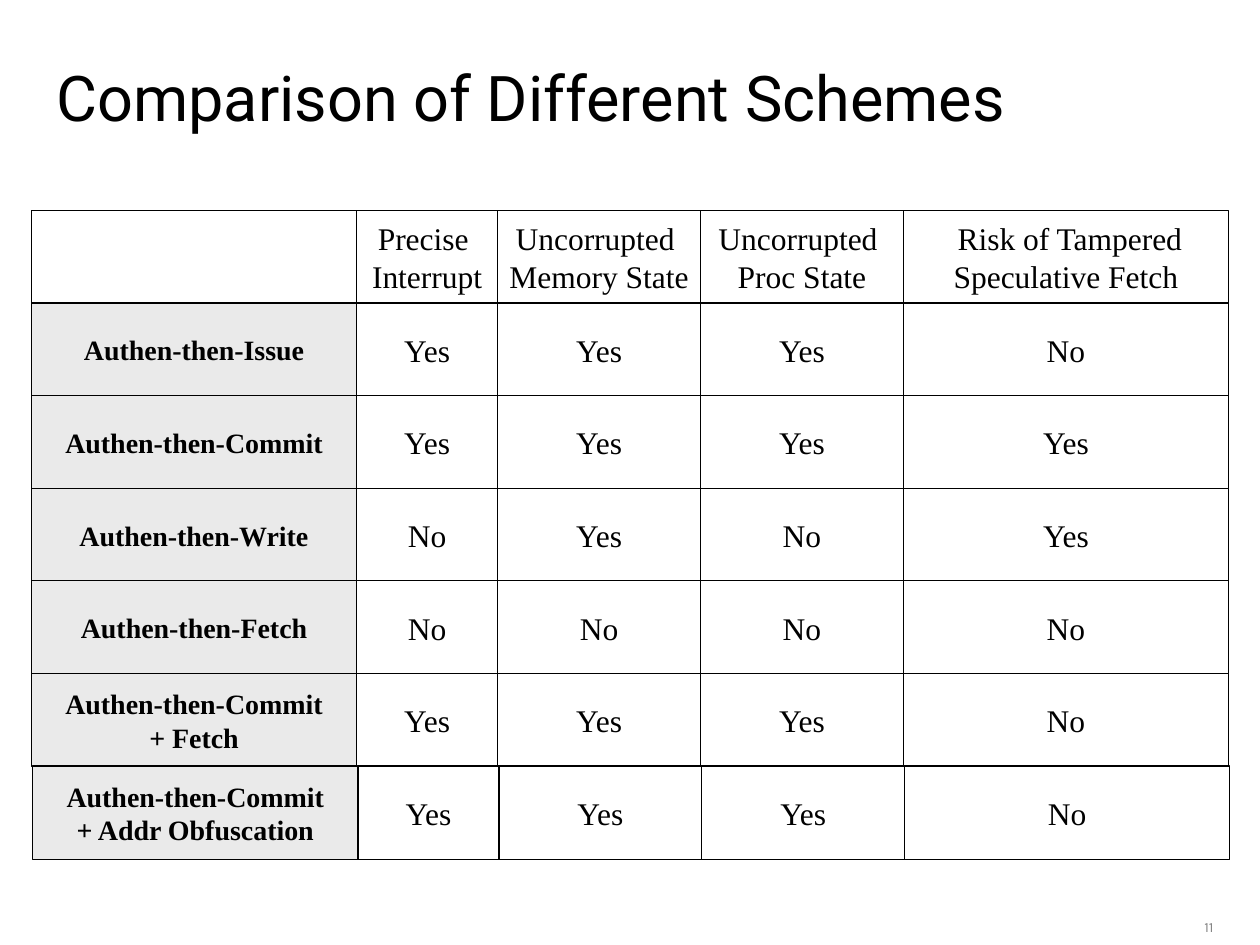
"""Build the slide that compares authentication schemes."""
from pptx import Presentation
from pptx import util as u
from pptx.dml.color import RGBColor
from pptx.enum import shapes, text


def tint(code):
    return RGBColor.from_string(code)


def write(frame, lines, face, size, color, align, bold=False):
    for i, line in enumerate(lines):
        para = frame.paragraphs[0] if i == 0 else frame.add_paragraph()
        para.alignment = align
        run = para.add_run()
        run.text = line
        run.font.name = face
        run.font.size = u.Pt(size)
        run.font.bold = bold
        run.font.color.rgb = tint(color)


deck = Presentation()
deck.slide_width, deck.slide_height = u.Inches(10), u.Inches(7.5)
slide = deck.slides.add_slide(deck.slide_layouts[6])

title = slide.shapes.add_textbox(
    u.Inches(0.35), u.Inches(0.35), u.Inches(9), u.Inches(0.83)).text_frame
title.word_wrap = True
title.vertical_anchor = text.MSO_ANCHOR.MIDDLE
write(title, ["Comparison of Different Schemes"], "Roboto", 36, "000000",
      text.PP_ALIGN.LEFT)

rows = [
    ["", "Precise \nInterrupt", "Uncorrupted \nMemory State",
     "Uncorrupted \nProc State", " Risk of Tampered\nSpeculative Fetch"],
    ["Authen-then-Issue", "Yes", "Yes", "Yes", "No"],
    ["Authen-then-Commit", "Yes", "Yes", "Yes", "Yes"],
    ["Authen-then-Write", "No", "Yes", "No", "Yes"],
    ["Authen-then-Fetch", "No", "No", "No", "No"],
    ["Authen-then-Commit\n+ Fetch", "Yes", "Yes", "Yes", "No"],
    ["Authen-then-Commit\n+ Addr Obfuscation", "Yes", "Yes", "Yes", "No"],
]
widths = [2.58, 1.12, 1.61, 1.61, 2.58]
top, pitch, high = 1.67, (6.08 - 1.67) / 6, 0.74

for r, row in enumerate(rows):
    left = 0.26 if r == len(rows) - 1 else 0.25
    for c, (words, wide) in enumerate(zip(row, widths)):
        label = r > 0 and c == 0
        cell = slide.shapes.add_shape(
            shapes.MSO_SHAPE.RECTANGLE, u.Inches(left),
            u.Inches(top + r * pitch), u.Inches(wide), u.Inches(high))
        cell.shadow.inherit = False
        cell.fill.solid()
        cell.fill.fore_color.rgb = tint("EAEAEA" if label else "FFFFFF")
        cell.line.color.rgb = tint("000000")
        cell.line.width = u.Pt(0.75)
        if words:
            frame = cell.text_frame
            frame.word_wrap = False
            frame.vertical_anchor = text.MSO_ANCHOR.MIDDLE
            write(frame, words.split("\n"), "Times New Roman",
                  16 if label else 18, "000000", text.PP_ALIGN.CENTER, label)
        left += wide

page = slide.shapes.add_textbox(
    u.Inches(9.07), u.Inches(7.24), u.Inches(0.66), u.Inches(0.17)).text_frame
page.word_wrap = True
write(page, ["11"], "Karla", 8, "808080", text.PP_ALIGN.RIGHT)

deck.save("out.pptx")
